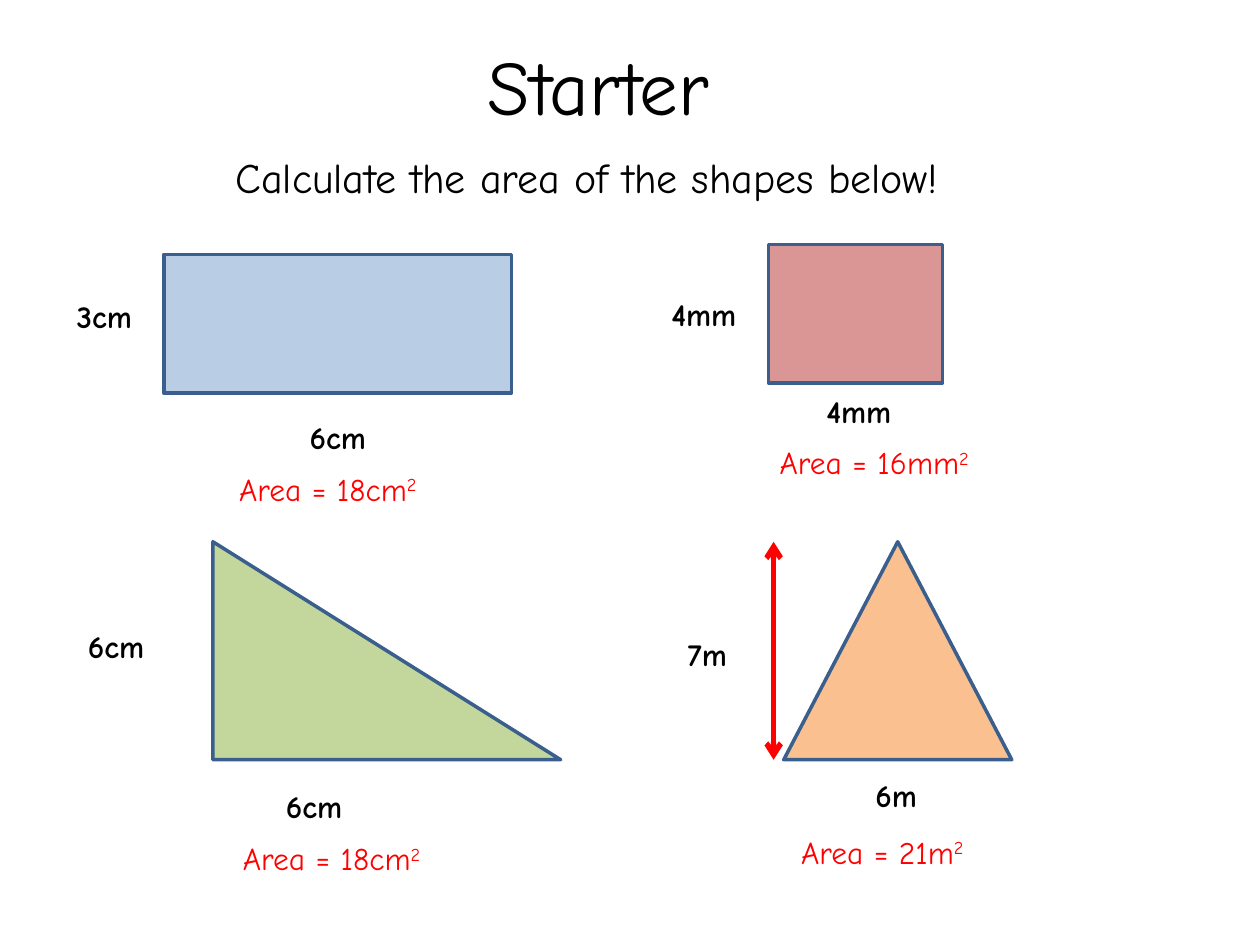
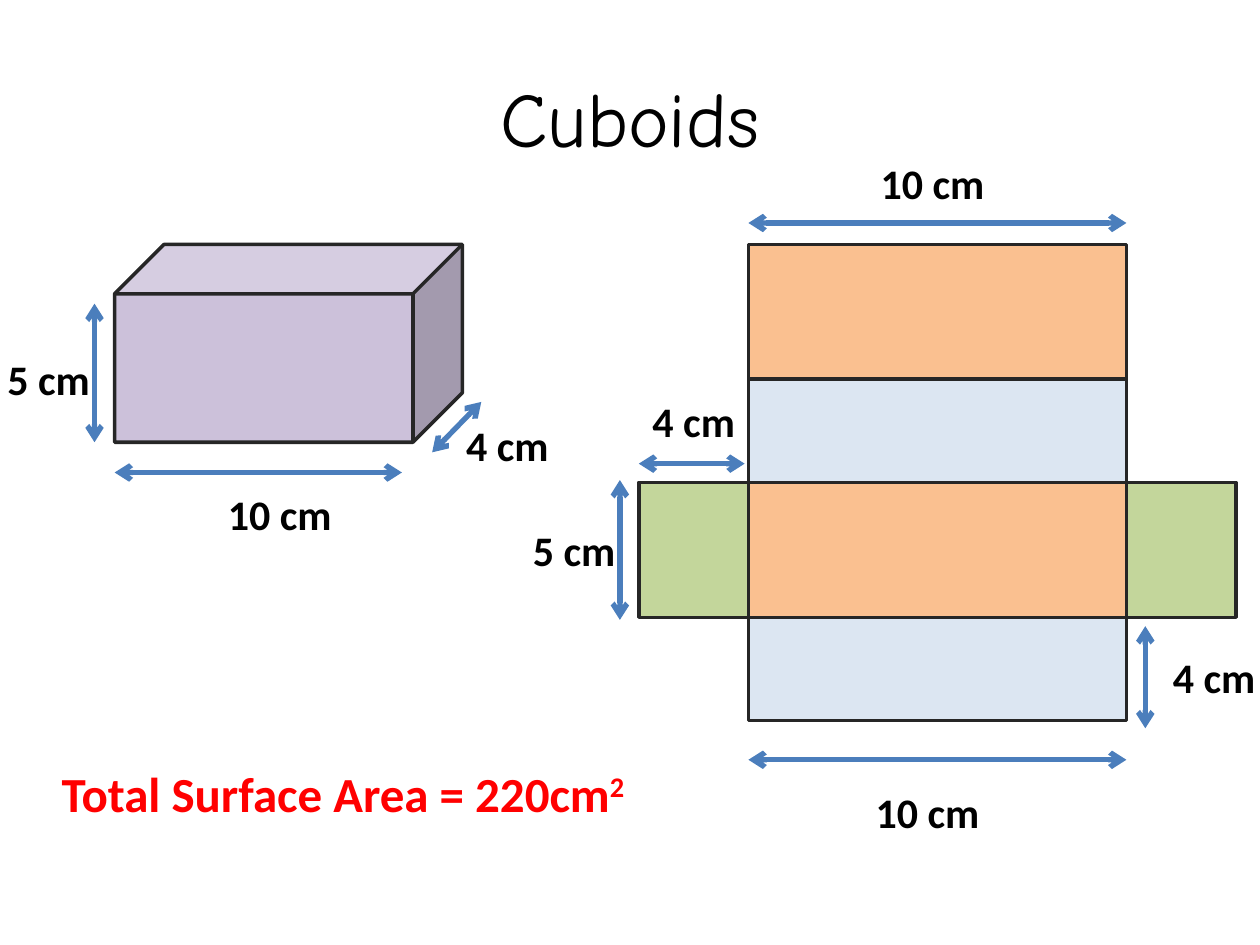
"""Build two maths slides: areas of flat shapes, and the surface area of a cuboid."""
from dataclasses import dataclass

from lxml import etree
from pptx import Presentation
from pptx.dml.color import RGBColor
from pptx.enum.shapes import MSO_CONNECTOR, MSO_SHAPE
from pptx.enum.text import MSO_ANCHOR, PP_ALIGN
from pptx.oxml.ns import qn
from pptx.util import Inches, Pt

RECTANGLE = MSO_SHAPE.RECTANGLE
TRIANGLE = MSO_SHAPE.ISOSCELES_TRIANGLE
CUBE = MSO_SHAPE.CUBE
STRAIGHT = MSO_CONNECTOR.STRAIGHT
LEFT, CENTER = PP_ALIGN.LEFT, PP_ALIGN.CENTER
TOP, MIDDLE = MSO_ANCHOR.TOP, MSO_ANCHOR.MIDDLE


@dataclass(frozen=True)
class Theme:
    hand_font: str = "Comic Neue"
    plain_font: str = "Calibri"
    title_size: int = 44
    total_size: int = 28
    large_size: int = 24
    small_size: int = 18
    outline_width: int = 2
    arrow_width: int = 3
    text: str = "000000"
    answer: str = "FF0000"
    blue_outline: str = "3A5F8C"
    dark_outline: str = "262626"
    arrow: str = "4B7EBC"
    blue: str = "B9CDE5"
    pale_blue: str = "DCE6F2"
    red: str = "D99694"
    orange: str = "FAC090"
    green: str = "C3D69B"
    purple: str = "CCC1DA"


THEME = Theme()

STARTER_SHAPES = [
    (RECTANGLE, (1.3, 2.02, 2.76, 1.1), THEME.blue, None),
    (RECTANGLE, (6.1, 1.94, 1.38, 1.1), THEME.red, None),
    (TRIANGLE, (6.22, 4.3, 1.81, 1.73), THEME.orange, None),
    (TRIANGLE, (1.69, 4.3, 2.76, 1.73), THEME.green, 0),
]
STARTER_LENGTHS = [
    ("3cm", 0.51, 2.31), ("6cm", 2.36, 3.27),
    ("4mm", 5.23, 2.29), ("4mm", 6.46, 3.06),
    ("6cm", 0.6, 4.93), ("6cm", 2.17, 6.2),
    ("7m", 5.36, 4.99), ("6m", 6.85, 6.11),
]
STARTER_AREAS = [
    ("Area = 18cm", 1.8, 3.68), ("Area = 16mm", 6.09, 3.47),
    ("Area = 18cm", 1.83, 6.61), ("Area = 21m", 6.26, 6.56),
]
TRIANGLE_HEIGHT = (6.14, 6.03, 6.14, 4.3)

CUBOID = (0.91, 1.94, 2.76, 1.57)
NET_LEFT, NET_TOP, NET_WIDTH = 5.94, 1.94, 3.0
FLAP_WIDTH = 0.87
FRONT_HEIGHT, TOP_HEIGHT = 1.07, 0.82
NET_RIGHT = NET_LEFT + NET_WIDTH
NET_STRIP = [
    (FRONT_HEIGHT, THEME.orange, False),
    (TOP_HEIGHT, THEME.pale_blue, False),
    (FRONT_HEIGHT, THEME.orange, True),
    (TOP_HEIGHT, THEME.pale_blue, False),
]
CUBOID_ARROWS = [
    (0.91, 3.75, 3.19, 3.75),
    (0.75, 3.51, 0.75, 2.41),
    (3.43, 3.59, 3.82, 3.19),
    (NET_LEFT, 1.77, NET_RIGHT, 1.77),
    (NET_LEFT, 6.03, NET_RIGHT, 6.03),
    (NET_LEFT - FLAP_WIDTH, 3.68, 5.91, 3.68),
    (4.92, 4.92, 4.92, 3.81),
    (9.09, 5.78, 9.09, 4.97),
]
CUBOID_LENGTHS = [
    ("5 cm", -0.04, 2.76), ("10 cm", 1.71, 3.83), ("4 cm", 3.6, 3.28),
    ("10 cm", 6.89, 1.2), ("10 cm", 6.85, 6.19), ("4 cm", 5.08, 3.09),
    ("5 cm", 4.13, 4.11), ("4 cm", 9.21, 5.12),
]


def add_text(slide, text, box, *, size, font=THEME.hand_font, color=THEME.text,
             bold=False, align=LEFT, anchor=TOP, superscript=""):
    shape = slide.shapes.add_textbox(*map(Inches, box))
    frame = shape.text_frame
    frame.word_wrap = True
    frame.vertical_anchor = anchor
    paragraph = frame.paragraphs[0]
    paragraph.alignment = align
    for content in filter(None, (text, superscript)):
        run = paragraph.add_run()
        run.text = content
        run.font.name = font
        run.font.size = Pt(size)
        run.font.bold = bold
        run.font.color.rgb = RGBColor.from_string(color)
    if superscript:
        run.font._element.set("baseline", "30000")


def add_title(slide, text, left, top):
    add_text(slide, text, (left, top, 9, 1.25), size=THEME.title_size,
             align=CENTER, anchor=MIDDLE)


def add_figure(slide, kind, box, fill, outline, adjustment=None):
    shape = slide.shapes.add_shape(kind, *map(Inches, box))
    shape.shadow.inherit = False
    shape.fill.solid()
    shape.fill.fore_color.rgb = RGBColor.from_string(fill)
    shape.line.color.rgb = RGBColor.from_string(outline)
    shape.line.width = Pt(THEME.outline_width)
    if adjustment is not None:
        shape.adjustments[0] = adjustment


def add_arrow(slide, ends, color):
    connector = slide.shapes.add_connector(STRAIGHT, *map(Inches, ends))
    connector.line.color.rgb = RGBColor.from_string(color)
    connector.line.width = Pt(THEME.arrow_width)
    line = connector.line._get_or_add_ln()
    for end in ("a:headEnd", "a:tailEnd"):
        etree.SubElement(line, qn(end), type="arrow")
    etree.SubElement(connector._element.spPr, qn("a:effectLst"))


def build_starter(slide):
    add_title(slide, "Starter", 0.25, 0.05)
    add_text(slide, "Calculate the area of the shapes below!",
             (1.77, 1.15, 6.77, 0.5), size=THEME.large_size)
    for kind, box, fill, adjustment in STARTER_SHAPES:
        add_figure(slide, kind, box, fill, THEME.blue_outline, adjustment)
    add_arrow(slide, TRIANGLE_HEIGHT, THEME.answer)
    for text, left, top in STARTER_LENGTHS:
        add_text(slide, text, (left, top, 0.83, 0.4), size=THEME.small_size, bold=True)
    for text, left, top in STARTER_AREAS:
        add_text(slide, text, (left, top, 2.5, 0.4), size=THEME.small_size,
                 color=THEME.answer, superscript="2")


def add_net(slide):
    top = NET_TOP
    for height, fill, has_flaps in NET_STRIP:
        add_figure(slide, RECTANGLE, (NET_LEFT, top, NET_WIDTH, height),
                   fill, THEME.dark_outline)
        if has_flaps:
            for left in (NET_LEFT - FLAP_WIDTH, NET_RIGHT):
                add_figure(slide, RECTANGLE, (left, top, FLAP_WIDTH, height),
                           THEME.green, THEME.dark_outline)
        top += height


def build_cuboids(slide):
    add_title(slide, "Cuboids", 0.5, 0.3)
    add_figure(slide, CUBE, CUBOID, THEME.purple, THEME.dark_outline)
    add_net(slide)
    for ends in CUBOID_ARROWS:
        add_arrow(slide, ends, THEME.arrow)
    for text, left, top in CUBOID_LENGTHS:
        add_text(slide, text, (left, top, 1.18, 0.5), size=THEME.large_size,
                 font=THEME.plain_font, bold=True)
    add_text(slide, "Total Surface Area = 220cm", (0.39, 6.01, 5.24, 0.57),
             size=THEME.total_size, font=THEME.plain_font, color=THEME.answer,
             bold=True, superscript="2")


def main():
    presentation = Presentation()
    presentation.slide_width = Inches(10)
    presentation.slide_height = Inches(7.5)
    blank = presentation.slide_layouts[6]
    for build in (build_starter, build_cuboids):
        build(presentation.slides.add_slide(blank))
    presentation.save("out.pptx")


if __name__ == "__main__":
    main()
